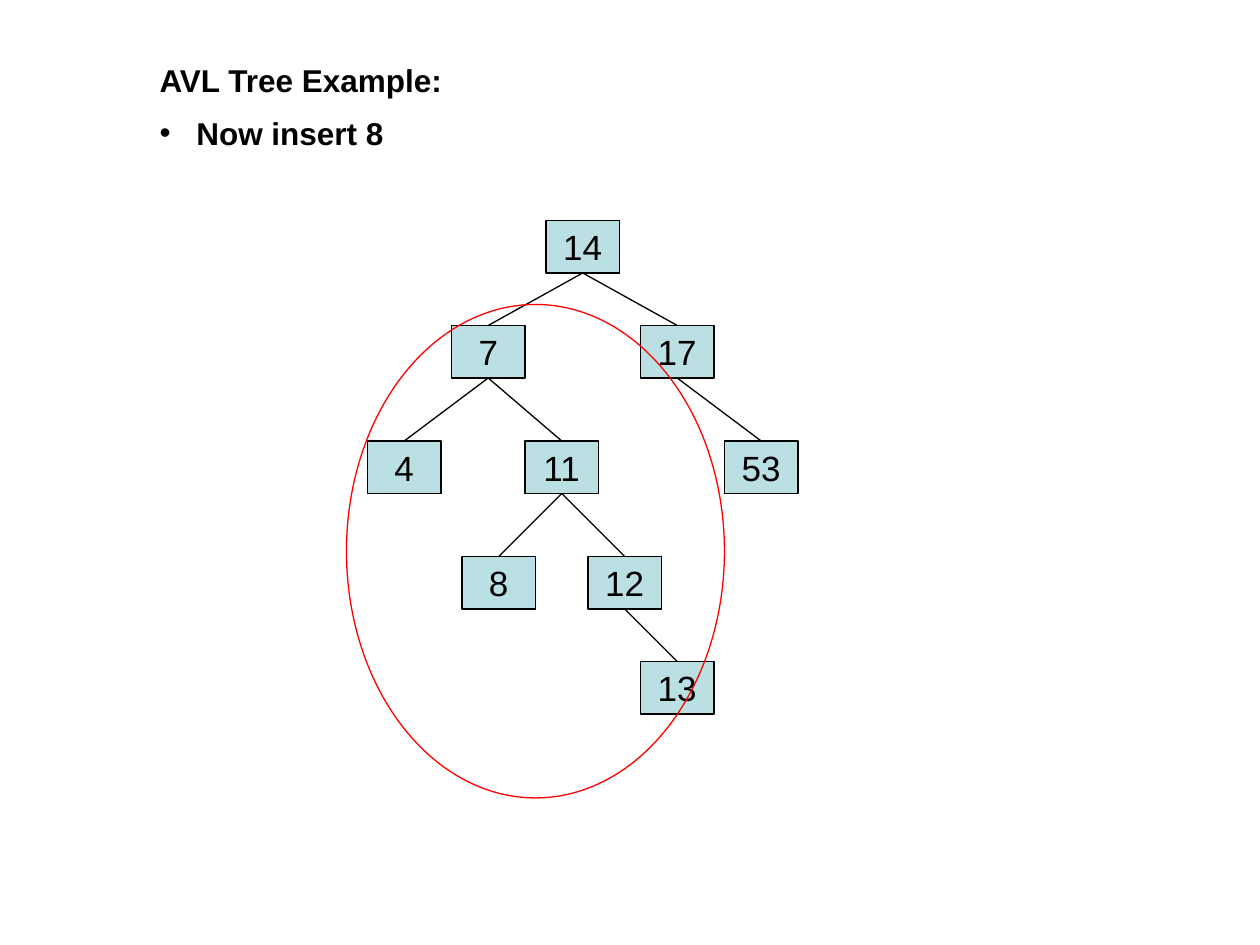
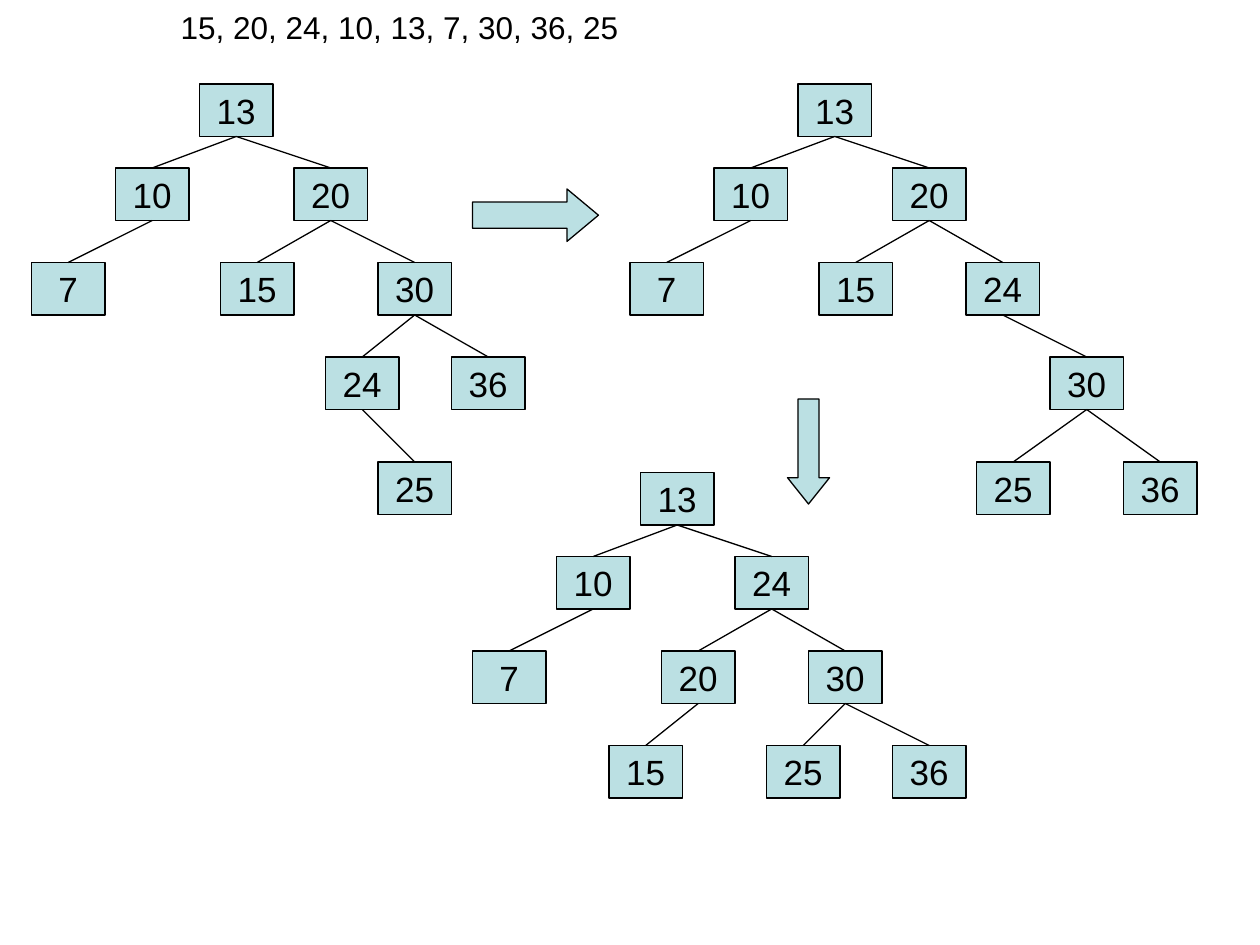
"""Build two slides of AVL tree insertion diagrams."""
import pptx
import pptx.dml.color
import pptx.enum.shapes
import pptx.enum.text
import pptx.oxml.ns
import pptx.util
from lxml import etree

Pt = pptx.util.Pt
SHAPES = pptx.enum.shapes.MSO_SHAPE
ALIGN = pptx.enum.text.PP_ALIGN
ANCHOR = pptx.enum.text.MSO_ANCHOR
COLORS = {"node": "BBE0E3", "ink": "000000", "highlight": "FF0000"}
NODE_WIDTH, NODE_HEIGHT = 42, 30

INSERTION_ROWS = (0, 60, 126, 192, 252)
INSERTION_TREE = {
    "14": (None, 0, 0),
    "7": ("14", -54, 1),
    "17": ("14", 54, 1),
    "4": ("7", -102, 2),
    "11": ("7", -12, 2),
    "53": ("17", 102, 2),
    "8": ("11", -48, 3),
    "12": ("11", 24, 3),
    "13": ("12", 54, 4),
}

ROTATION_ROWS = (0, 48, 102, 156, 216)
LEFT_BRANCH = {"13": (None, 0, 0), "10": ("13", -48, 1), "7": ("10", -96, 2)}
UNBALANCED_TREE = LEFT_BRANCH | {
    "20": ("13", 54, 1),
    "15": ("20", 12, 2),
    "30": ("20", 102, 2),
    "24": ("30", 72, 3),
    "36": ("30", 144, 3),
    "25": ("24", 102, 4),
}
HALF_ROTATED_TREE = LEFT_BRANCH | {
    "20": ("13", 54, 1),
    "15": ("20", 12, 2),
    "24": ("20", 96, 2),
    "30": ("24", 144, 3),
    "25": ("30", 102, 4),
    "36": ("30", 186, 4),
}
BALANCED_TREE = LEFT_BRANCH | {
    "24": ("13", 54, 1),
    "20": ("24", 12, 2),
    "30": ("24", 96, 2),
    "15": ("20", -18, 3),
    "25": ("30", 72, 3),
    "36": ("30", 144, 3),
}


def color(name):
    """Return the named palette colour."""
    return pptx.dml.color.RGBColor.from_string(COLORS[name])


class TreeDeck:
    """Holds the shared style and the current slide."""

    def __init__(self):
        """Start an empty 4:3 presentation."""
        self.presentation = pptx.Presentation()
        self.presentation.slide_width = Pt(720)
        self.presentation.slide_height = Pt(540)
        self.slide = None

    def new_slide(self, layout):
        """Add a slide and make it current."""
        layouts = self.presentation.slide_layouts
        self.slide = self.presentation.slides.add_slide(layouts.get_by_name(layout))

    def style(self, paragraph, size, bold=False):
        """Apply the common font to a paragraph."""
        paragraph.font.name = "Arial"
        paragraph.font.size = Pt(size)
        paragraph.font.bold = bold
        paragraph.font.color.rgb = color("ink")

    def placeholder(self, shape, text, left, top, width, bold=False):
        """Move and fill a one-line placeholder and return its paragraph."""
        shape.left, shape.top = Pt(left), Pt(top)
        shape.width, shape.height = Pt(width), Pt(29)
        frame = shape.text_frame
        frame.text = text
        frame.auto_size = pptx.enum.text.MSO_AUTO_SIZE.NONE
        frame.vertical_anchor = ANCHOR.TOP
        paragraph = frame.paragraphs[0]
        paragraph.alignment = ALIGN.LEFT
        paragraph.space_before = Pt(0)
        self.style(paragraph, 18, bold)
        return paragraph

    def title(self, text, left, top, width, bold=False):
        """Fill the title placeholder."""
        self.placeholder(self.slide.shapes.title, text, left, top, width, bold)

    def bullet(self, text, left, top, width):
        """Fill the body placeholder with one bold bullet."""
        body = self.slide.placeholders[1]
        paragraph = self.placeholder(body, text, left, top, width, bold=True)
        properties = paragraph._p.get_or_add_pPr()
        properties.set("marL", str(Pt(21)))
        properties.set("indent", str(-Pt(21)))
        mark = pptx.oxml.ns.qn("a:buChar")
        etree.SubElement(properties, mark).set("char", "•")
        properties.remove(properties.find(mark))
        properties.insert_element_before(
            etree.fromstring(etree.tostring(etree.Element(mark, char="•"))),
            "a:tabLst", "a:defRPr", "a:extLst")

    def shape(self, kind, left, top, width, height, fill="node", line="ink"):
        """Add a flat outlined shape, unfilled when fill is None."""
        shape = self.slide.shapes.add_shape(
            kind, Pt(left), Pt(top), Pt(width), Pt(height))
        shape.shadow.inherit = False
        if fill:
            shape.fill.solid()
            shape.fill.fore_color.rgb = color(fill)
        else:
            shape.fill.background()
        shape.line.color.rgb = color(line)
        shape.line.width = Pt(0.75)
        return shape

    def arrow(self, kind, left, top, width, height, head):
        """Add a block arrow with the given head proportion."""
        arrow = self.shape(kind, left, top, width, height)
        arrow.adjustments[0] = 0.5
        arrow.adjustments[1] = head

    def node(self, label, left, top):
        """Add a labelled tree node."""
        node = self.shape(SHAPES.RECTANGLE, left, top, NODE_WIDTH, NODE_HEIGHT)
        frame = node.text_frame
        frame.text = label
        frame.word_wrap = False
        frame.vertical_anchor = ANCHOR.MIDDLE
        frame.paragraphs[0].alignment = ALIGN.CENTER
        self.style(frame.paragraphs[0], 20)
        return node

    def edge(self, parent, child):
        """Join a parent's bottom to a child's top."""
        edge = self.slide.shapes.add_connector(
            pptx.enum.shapes.MSO_CONNECTOR.STRAIGHT, 0, 0, 0, 0)
        edge.begin_connect(parent, 2)
        edge.end_connect(child, 0)
        edge.line.color.rgb = color("ink")
        edge.line.width = Pt(0.75)
        etree.SubElement(edge._element.spPr, pptx.oxml.ns.qn("a:effectLst"))

    def tree(self, tree, rows, left, top):
        """Draw a tree whose root stands at left, top."""
        nodes = {}
        for label, (parent, offset, level) in tree.items():
            nodes[label] = self.node(label, left + offset, top + rows[level])
            if parent:
                self.edge(nodes[parent], nodes[label])


def main():
    """Build and save both slides."""
    deck = TreeDeck()

    deck.new_slide("Title and Content")
    deck.title("AVL Tree Example:", 84, 31.5, 564, bold=True)
    deck.bullet("Now insert 8", 84, 61.5, 564)
    deck.tree(INSERTION_TREE, INSERTION_ROWS, 312, 126)
    deck.shape(SHAPES.OVAL, 198, 174, 216, 282, fill=None, line="highlight")

    deck.new_slide("Title Only")
    deck.title("15, 20, 24, 10, 13, 7, 30, 36, 25", 96, 1, 552)
    deck.tree(UNBALANCED_TREE, ROTATION_ROWS, 114, 48)
    deck.arrow(SHAPES.RIGHT_ARROW, 270, 108, 72, 30, 0.6)
    deck.tree(HALF_ROTATED_TREE, ROTATION_ROWS, 456, 48)
    deck.arrow(SHAPES.DOWN_ARROW, 450, 228, 24, 60, 0.625)
    deck.tree(BALANCED_TREE, ROTATION_ROWS, 366, 270)

    deck.presentation.save("out.pptx")


if __name__ == "__main__":
    main()
